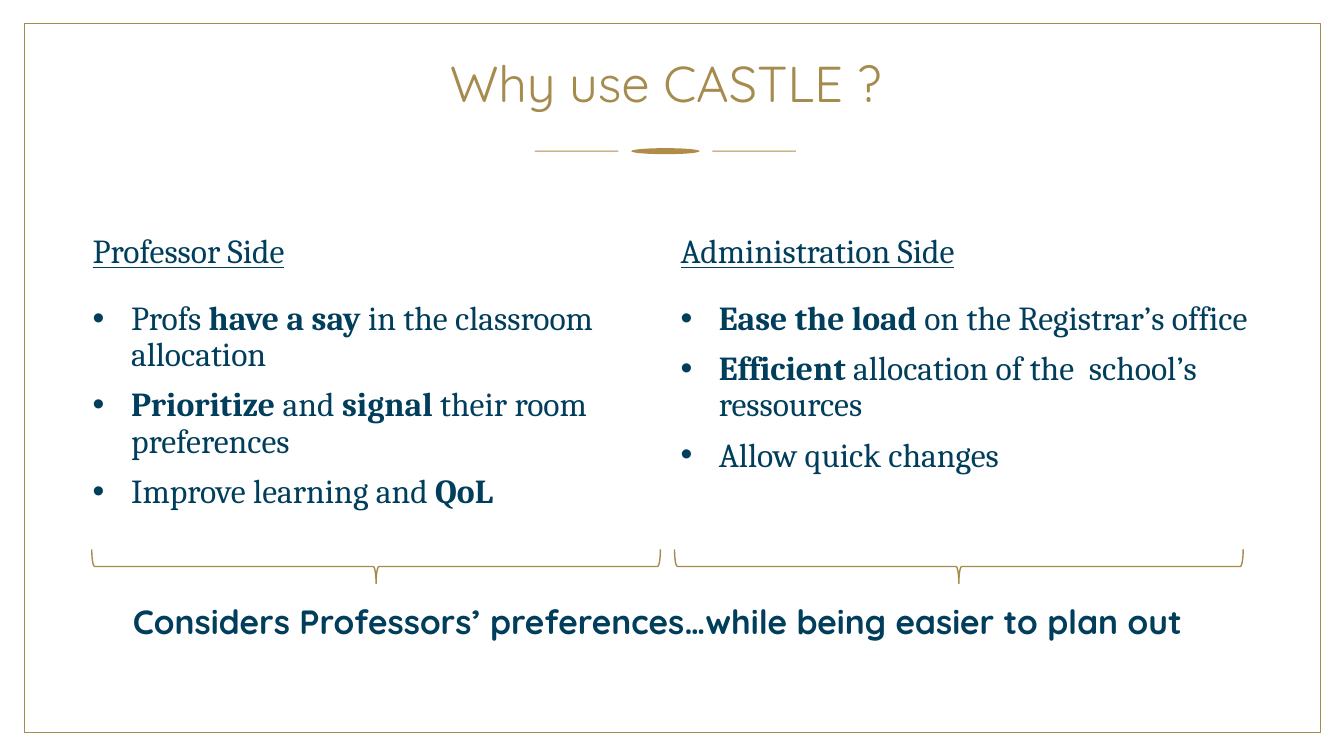
import pptx
import pptx.util
import pptx.dml.color
import pptx.enum.shapes
import pptx.enum.text
from dataclasses import dataclass
from lxml import etree

# Content: a run is (text, bold)
TITLE = "Why use CASTLE ? "
SIDES = [
    ("Professor Side", [
        [("Profs ", False), ("have a say ", True), ("in the classroom allocation", False)],
        [("Prioritize ", True), ("and ", False), ("signal ", True), ("their room preferences", False)],
        [("Improve learning and ", False), ("QoL", True)],
    ]),
    ("Administration Side", [
        [("Ease the load ", True), ("on the Registrar’s office", False)],
        [("Efficient", True), (" allocation of the  school’s ressources", False)],
        [("Allow quick changes", False)],
    ]),
]
CONCLUSION = "Considers Professors’ preferences…while being easier to plan out"


@dataclass(frozen=True)
class Theme:
    gold: str = "A68B4E"
    ornament: str = "B18C49"
    navy: str = "003E5C"
    white: str = "FFFFFF"
    display: str = "Quicksand"
    serif: str = "Cambria"
    title_size: int = 36
    text_size: int = 24


THEME = Theme()
SHAPES = pptx.enum.shapes.MSO_SHAPE
ANCHOR = pptx.enum.text.MSO_ANCHOR
ALIGN = pptx.enum.text.PP_ALIGN
inch = pptx.util.Inches

# Grid, in inches: (start, extent) of columns and rows
WIDTH, HEIGHT = 13.33, 7.5
COLUMNS = [(0.92, 5.64), (6.75, 5.67)]
TITLE_ROW, HEADING_ROW, POINTS_ROW = (0.13, 1.45), (1.84, 0.9), (2.99, 4.03)
BRACE_ROW, CONCLUSION_ROW = (5.45, 0.34), (5.91, 0.5)
BRACE_LEFT, BRACE_STEP, BRACE_SPAN = 0.91, 5.78, 5.64
FRAME = (0.24, 0.23, 12.86, 7.04)
ORNAMENT_CENTRE = (6.6, 1.5)
ORNAMENT_PARTS = [  # shape, offset from centre, width, height
    (SHAPES.OVAL, 0, 0.68, 0.06),
    (SHAPES.RECTANGLE, -0.88, 0.83, 0.01),
    (SHAPES.RECTANGLE, 0.88, 0.83, 0.01),
]
INDENT = 0.38

deck = pptx.Presentation()
deck.slide_width, deck.slide_height = inch(WIDTH), inch(HEIGHT)
slide = deck.slides.add_slide(deck.slide_layouts[6])


def rgb(code):
    return pptx.dml.color.RGBColor.from_string(code)


def add_figure(kind, left, top, width, height, fill=None, line=None, weight=0.75):
    figure = slide.shapes.add_shape(kind, inch(left), inch(top), inch(width), inch(height))
    figure.shadow.inherit = False
    if fill:
        figure.fill.solid()
        figure.fill.fore_color.rgb = rgb(fill)
    else:
        figure.fill.background()
    if line:
        figure.line.color.rgb = rgb(line)
        figure.line.width = pptx.util.Pt(weight)
    else:
        figure.line.fill.background()
    return figure


def add_bullet(paragraph):
    properties = paragraph._p.get_or_add_pPr()
    properties.set("marL", str(inch(INDENT)))
    properties.set("indent", str(-inch(INDENT)))
    namespace = properties.nsmap["a"]
    etree.SubElement(properties, f"{{{namespace}}}buFont", typeface="Arial")
    etree.SubElement(properties, f"{{{namespace}}}buChar", char="•")


def add_text(paragraphs, column, row, font=THEME.serif, size=THEME.text_size,
             color=THEME.navy, underline=False, align=ALIGN.LEFT, anchor=ANCHOR.TOP,
             spacing=None, before=0, bullets=False, insets=(0.1, 0.05, 0.1, 0.05)):
    (left, width), (top, height) = column, row
    frame = slide.shapes.add_textbox(inch(left), inch(top), inch(width), inch(height)).text_frame
    frame.word_wrap = True
    frame.vertical_anchor = anchor
    (frame.margin_left, frame.margin_top,
     frame.margin_right, frame.margin_bottom) = map(inch, insets)
    for index, runs in enumerate(paragraphs):
        paragraph = frame.add_paragraph() if index else frame.paragraphs[0]
        paragraph.alignment = align
        paragraph.space_before = pptx.util.Pt(before)
        if spacing:
            paragraph.line_spacing = spacing
        if bullets:
            add_bullet(paragraph)
        for words, bold in runs:
            run = paragraph.add_run()
            run.text = words
            run.font.name, run.font.size = font, pptx.util.Pt(size)
            run.font.bold, run.font.underline = bold, underline
            run.font.color.rgb = rgb(color)


# Frame and title ornament
add_figure(SHAPES.RECTANGLE, *FRAME, fill=THEME.white, line=THEME.gold)
for kind, offset, width, height in ORNAMENT_PARTS:
    add_figure(kind, ORNAMENT_CENTRE[0] + offset - width / 2, ORNAMENT_CENTRE[1] - height / 2,
               width, height, fill=THEME.ornament)

# Title
add_text([[(TITLE, False)]], (0.92, 11.5), TITLE_ROW, font=THEME.display,
         size=THEME.title_size, color=THEME.gold, align=ALIGN.CENTER,
         anchor=ANCHOR.MIDDLE, spacing=0.9)

# Two sides, each closed by a brace turned to point down
body = dict(spacing=0.9, before=10, insets=(0, 0, 0, 0.05))
for index, (column, (heading, points)) in enumerate(zip(COLUMNS, SIDES)):
    add_text([[(heading, False)]], column, HEADING_ROW, underline=True,
             anchor=ANCHOR.BOTTOM, **body)
    add_text(points, column, POINTS_ROW, bullets=True, **body)
    brace_top, brace_depth = BRACE_ROW
    centre_x = BRACE_LEFT + index * BRACE_STEP + BRACE_SPAN / 2
    centre_y = brace_top + brace_depth / 2
    brace = add_figure(SHAPES.RIGHT_BRACE, centre_x - brace_depth / 2, centre_y - BRACE_SPAN / 2,
                       brace_depth, BRACE_SPAN, line=THEME.gold, weight=1)
    brace.rotation = 90

# Conclusion
add_text([[(CONCLUSION, True)]], (0.91, 11.22), CONCLUSION_ROW, font=THEME.display,
         align=ALIGN.CENTER)

deck.save("out.pptx")
